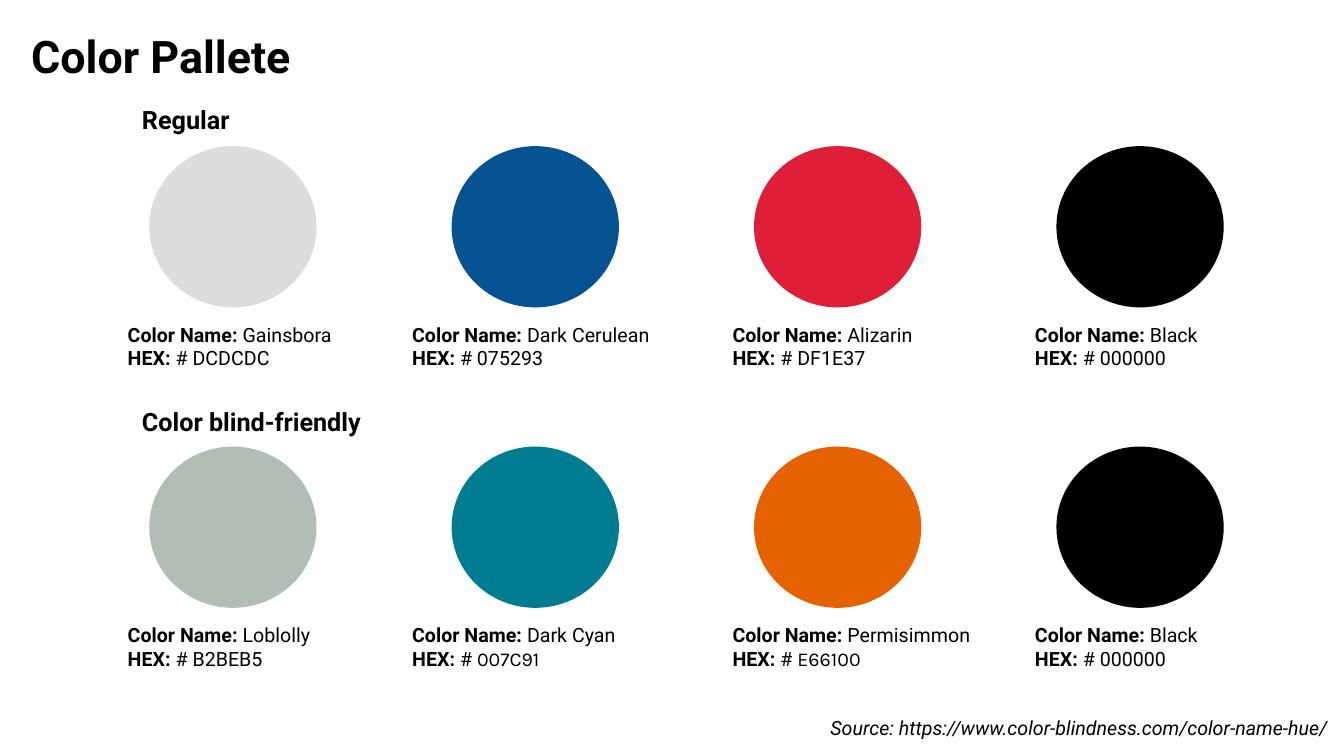
from dataclasses import dataclass

from pptx import Presentation
from pptx import util as u
from pptx.dml.color import RGBColor
from pptx.enum import shapes, text
from pptx.slide import Slide

COLORS = {
    "text": "000000",
    "Gainsbora": "DCDCDC",
    "Dark Cerulean": "075293",
    "Alizarin": "DF1E37",
    "Black": "000000",
    "Loblolly": "B2BEB5",
    "Dark Cyan": "007C91",
    "Permisimmon": "E66100",
}
FONT = "Roboto"
HEX_FONT = "Karla"

# Layout in points
ROW_TOP, ROW_STEP = 104.4, 214.6
CIRCLE_LEFT, CIRCLE_STEP = 106.6, 216
CIRCLE_W, CIRCLE_H = 119.5, 115.2
LABEL_DROP, LABEL_H = 122.4, 41
LABEL_LEFTS = (84.2, 287.3, 516.2, 732.2)
LABEL_WIDTHS = (164, 190, 196, 164)


@dataclass
class Run:
    text: str
    bold: bool = False
    italic: bool = False
    font: str = FONT


@dataclass
class Swatch:
    name: str
    hex_font: str = FONT


@dataclass
class Palette:
    heading: str
    heading_top: float
    swatches: list[Swatch]


PALETTES = [
    Palette("Regular", 70.6, [
        Swatch("Gainsbora"), Swatch("Dark Cerulean"), Swatch("Alizarin"), Swatch("Black"),
    ]),
    Palette("Color blind-friendly", 286.6, [
        Swatch("Loblolly"), Swatch("Dark Cyan", HEX_FONT),
        Swatch("Permisimmon", HEX_FONT), Swatch("Black"),
    ]),
]


def add_text(s: Slide, left: float, top: float, width: float, height: float,
             size: float, lines: list[list[Run]], wrap: bool = True) -> None:
    sp = s.shapes.add_textbox(u.Pt(left), u.Pt(top), u.Pt(width), u.Pt(height))
    tf = sp.text_frame
    tf.word_wrap = wrap
    tf.auto_size = text.MSO_AUTO_SIZE.SHAPE_TO_FIT_TEXT
    for i, line in enumerate(lines):
        p = tf.add_paragraph() if i else tf.paragraphs[0]
        for run in line:
            r = p.add_run()
            r.text = run.text
            r.font.name = run.font
            r.font.size = u.Pt(size)
            r.font.bold = run.bold
            r.font.italic = run.italic
            r.font.color.rgb = RGBColor.from_string(COLORS["text"])


def add_swatch(s: Slide, swatch: Swatch, col: int, top: float) -> None:
    color = COLORS[swatch.name]
    sp = s.shapes.add_shape(
        shapes.MSO_SHAPE.OVAL, u.Pt(CIRCLE_LEFT + col * CIRCLE_STEP), u.Pt(top),
        u.Pt(CIRCLE_W), u.Pt(CIRCLE_H))
    sp.shadow.inherit = False
    sp.fill.solid()
    sp.fill.fore_color.rgb = RGBColor.from_string(color)
    sp.line.fill.background()
    add_text(s, LABEL_LEFTS[col], top + LABEL_DROP, LABEL_WIDTHS[col], LABEL_H, 14, [
        [Run("Color Name: ", bold=True), Run(swatch.name)],
        [Run("HEX: ", bold=True), Run("# "), Run(color, font=swatch.hex_font)],
    ])


def main() -> None:
    prs = Presentation()
    prs.slide_width, prs.slide_height = u.Pt(960), u.Pt(540)
    s = prs.slides.add_slide(prs.slide_layouts[6])

    # Title
    add_text(s, 15.1, 16.6, 281.5, 46, 32, [[Run("Color Pallete", bold=True)]])

    # Palettes
    for row, palette in enumerate(PALETTES):
        add_text(s, 94.3, palette.heading_top, 481, 29, 18,
                 [[Run(palette.heading, bold=True)]])
        for col, swatch in enumerate(palette.swatches):
            add_swatch(s, swatch, col, ROW_TOP + row * ROW_STEP)

    # Source line
    add_text(s, 586.1, 507.6, 373.7, 24.5, 14, [
        [Run("Source: https://www.color-blindness.com/color-name-hue/", italic=True)],
    ], wrap=False)

    prs.save("out.pptx")


if __name__ == "__main__":
    main()
